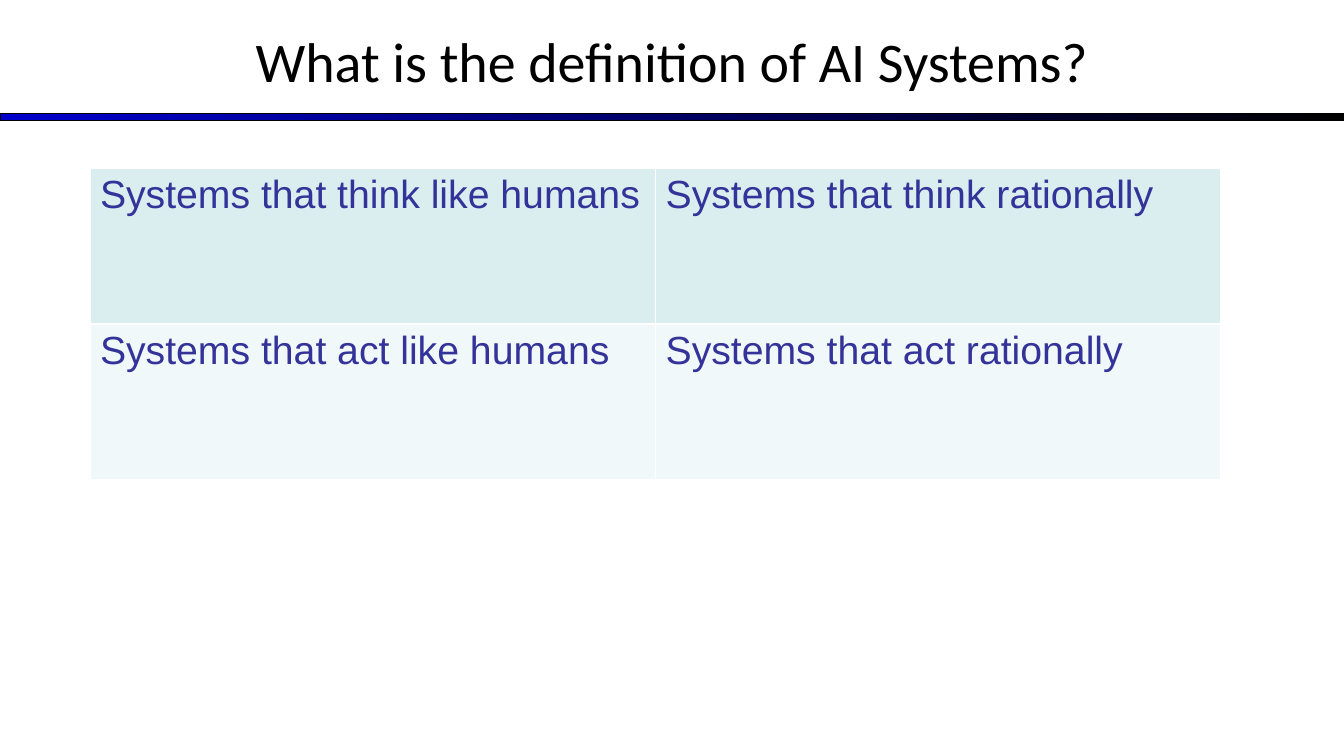
from lxml import etree
from pptx import Presentation
from pptx.dml.color import RGBColor
from pptx.enum import shapes, text
from pptx.oxml.ns import qn
from pptx.util import Cm, Pt

BLACK = RGBColor(0x00, 0x00, 0x00)
WHITE = RGBColor(0xFF, 0xFF, 0xFF)
BLUE = RGBColor(0x00, 0x00, 0xCC)
INDIGO = RGBColor(0x33, 0x33, 0x99)
ROW_FILLS = [RGBColor(0xDA, 0xED, 0xEF), RGBColor(0xF1, 0xF8, 0xF9)]

SLIDE_WIDTH, SLIDE_HEIGHT = Cm(25.4), Cm(14.29)
INSET_X, INSET_Y = Cm(0.19), Cm(0.1)

TITLE = "What is the definition of AI Systems?"
DEFINITIONS = [
    ["Systems that think like humans", "Systems that think rationally"],
    ["Systems that act like humans", "Systems that act rationally"],
]


def set_insets(target):
    """Give a text frame or a table cell the common margins."""
    target.margin_left = target.margin_right = INSET_X
    target.margin_top = target.margin_bottom = INSET_Y


def write(frame, words, font_name, size, color):
    frame.text = words
    font = frame.paragraphs[0].runs[0].font
    font.name, font.size = font_name, Pt(size)
    font.color.rgb = color


def add_rule(slide):
    rule = slide.shapes.add_shape(
        shapes.MSO_SHAPE.RECTANGLE, 0, Cm(2.15), SLIDE_WIDTH, Cm(0.13))
    rule.shadow.inherit = False
    rule.fill.gradient()
    rule.fill.gradient_angle = 0
    for stop, color, position in zip(rule.fill.gradient_stops, (BLUE, BLACK), (0, 1)):
        stop.color.rgb = color
        stop.position = position
    rule.line.color.rgb = BLACK
    rule.line.width = Pt(0.75)


def add_title(slide):
    frame = slide.shapes.add_textbox(0, Cm(-0.05), SLIDE_WIDTH, Cm(2.39)).text_frame
    frame.word_wrap = True
    frame.vertical_anchor = text.MSO_ANCHOR.MIDDLE
    set_insets(frame)
    write(frame, TITLE, "Calibri", 30, BLACK)
    frame.paragraphs[0].alignment = text.PP_ALIGN.CENTER


def set_borders(cell, color, width):
    properties = cell._tc.get_or_add_tcPr()
    for index, side in enumerate(("lnL", "lnR", "lnT", "lnB")):
        border = etree.Element(qn(f"a:{side}"), w=str(width))
        solid = etree.SubElement(border, qn("a:solidFill"))
        etree.SubElement(solid, qn("a:srgbClr"), val=str(color))
        properties.insert(index, border)


def add_definitions(slide):
    table = slide.shapes.add_table(
        len(DEFINITIONS), len(DEFINITIONS[0]),
        Cm(1.7), Cm(3.18), Cm(21.38), Cm(5.88)).table
    for row, (definitions, fill) in enumerate(zip(DEFINITIONS, ROW_FILLS)):
        for column, definition in enumerate(definitions):
            cell = table.cell(row, column)
            set_insets(cell)
            cell.fill.solid()
            cell.fill.fore_color.rgb = fill
            set_borders(cell, WHITE, Pt(1))
            write(cell.text_frame, definition, "Arial", 21, INDIGO)
            cell.text_frame.paragraphs[0].runs[0].font.bold = False


def main():
    deck = Presentation()
    deck.slide_width, deck.slide_height = SLIDE_WIDTH, SLIDE_HEIGHT
    slide = deck.slides.add_slide(deck.slide_layouts[6])
    add_rule(slide)
    add_title(slide)
    add_definitions(slide)
    deck.save("out.pptx")


if __name__ == "__main__":
    main()
